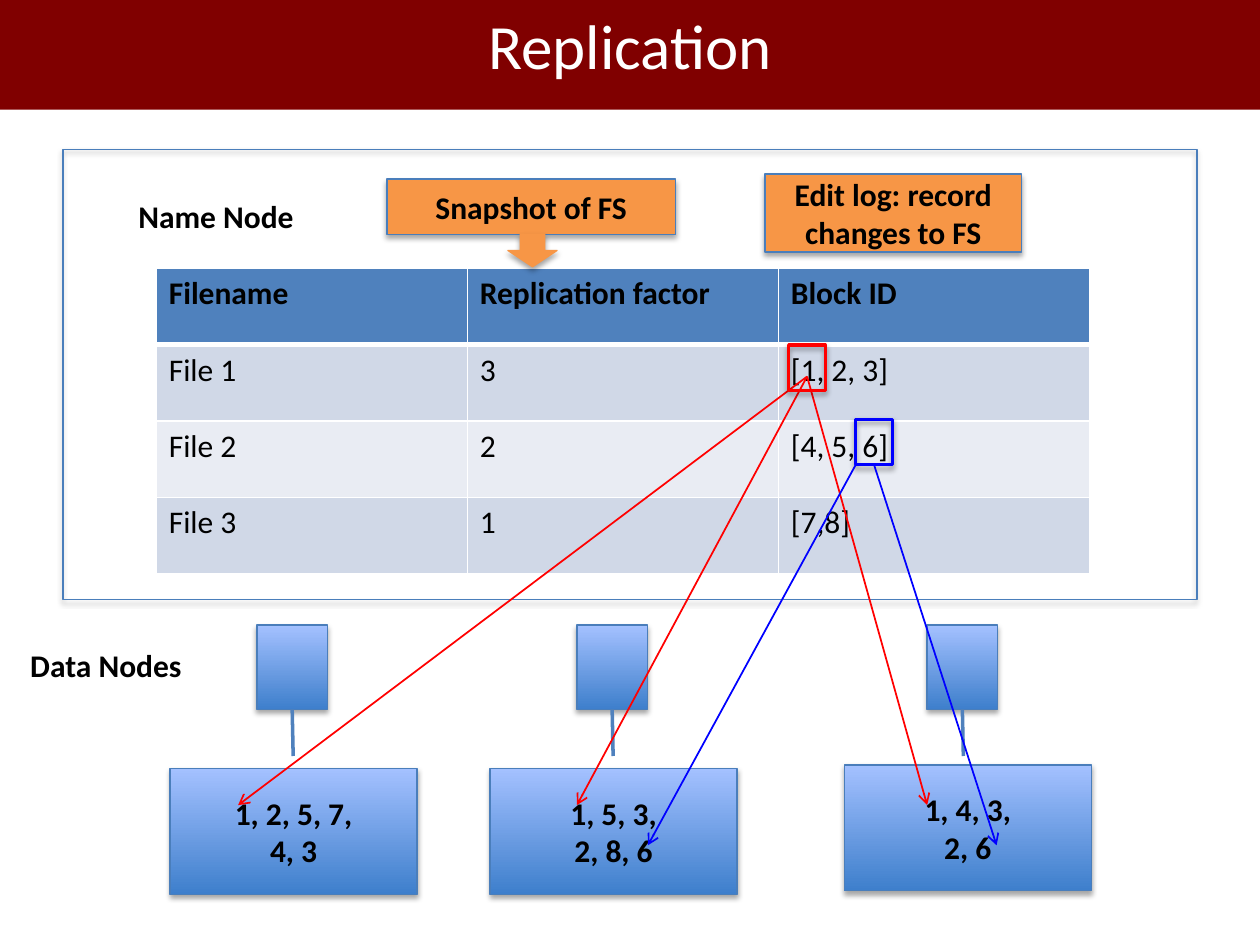
"""Build the slide on block replication between a name node and its data nodes."""
from pptx import Presentation
from pptx import util as u
from pptx.dml.color import RGBColor
from pptx.enum import shapes, text
from pptx.oxml import parse_xml
from pptx.oxml.ns import nsdecls, qn

BLACK, WHITE = RGBColor(0, 0, 0), RGBColor(255, 255, 255)
MAROON, ORANGE = RGBColor(0x80, 0, 0), RGBColor(0xF7, 0x96, 0x46)
RED, BLUE = RGBColor(255, 0, 0), RGBColor(0, 0, 255)
EDGE, ACCENT = RGBColor(0x4A, 0x7E, 0xBB), RGBColor(0x4F, 0x81, 0xBD)
DEEP, PALE = RGBColor(0x3E, 0x7F, 0xCC), RGBColor(0xA4, 0xC1, 0xFF)
BANDS = [RGBColor(0xE9, 0xEC, 0xF3), RGBColor(0xD0, 0xD8, 0xE7)]
RECT, DOWN = shapes.MSO_SHAPE.RECTANGLE, shapes.MSO_SHAPE.DOWN_ARROW
BOLD = {"name": "Calibri", "size": u.Pt(18), "bold": True}
PLAIN = {**BOLD, "bold": False}
HEADING = {**PLAIN, "size": u.Pt(36)}

FILES = [
    ("Filename", "Replication factor", "Block ID"),
    ("File 1", "3", "[1, 2, 3]"),
    ("File 2", "2", "[4, 5, 6]"),
    ("File 3", "1", "[7,8]"),
]
NODES = [
    (5.18, 3.43, 15.49, ["1, 2, 5, 7,", "4, 3"]),
    (11.63, 9.88, 15.49, ["1, 5, 3,", "2, 8, 6"]),
    (18.69, 17.02, 15.42, ["1, 4, 3,", "2, 6"]),
]
LABELS = [("Name Node", 2.54, 3.84), ("Data Nodes", 0.36, 12.9)]
SNAPSHOT = ("Snapshot of FS", (7.8, 3.61, 5.82, 1.12))
EDIT_LOG = ("Edit log: record changes to FS", (15.42, 3.51, 5.18, 1.57))
BLOCK_1, BLOCK_6 = (15.9, 6.96, 0.74, 0.91), (17.25, 8.46, 0.74, 0.91)
BLOCK_1_ENDS = [(4.8, 16.23), (11.63, 16.23), (18.69, 16.23)]
BLOCK_6_ENDS = [(13.06, 17.04), (20.09, 17.04)]

prs = Presentation()
prs.slide_width, prs.slide_height = u.Cm(25.4), u.Cm(19.05)
s = prs.slides.add_slide(prs.slide_layouts[6])


def cm(values):
    return [u.Cm(v) for v in values]


def write(tf, lines, style=BOLD, color=BLACK, align=None):
    for i, line in enumerate(lines):
        p = tf.add_paragraph() if i else tf.paragraphs[0]
        p.alignment = align
        r = p.add_run()
        r.text = line
        for name, value in style.items():
            setattr(r.font, name, value)
        r.font.color.rgb = color


def add_shadow(sp):
    sp._element.spPr.find(qn("a:effectLst")).append(parse_xml(
        f'<a:outerShdw {nsdecls("a")} blurRad="39370" dist="22860" dir="5400000" '
        'rotWithShape="0"><a:srgbClr val="000000"><a:alpha val="35000"/>'
        '</a:srgbClr></a:outerShdw>'))


def shape(box, fill=None, line=EDGE, width=0.75, kind=RECT, lines=(),
          style=BOLD, color=BLACK):
    sp = s.shapes.add_shape(kind, *cm(box))
    sp.shadow.inherit = False
    if fill == "gradient":
        sp.fill.gradient()
        sp.fill.gradient_angle = 90
        for stop, shade in zip(sp.fill.gradient_stops, (DEEP, PALE)):
            stop.color.rgb = shade
    elif fill is None:
        sp.fill.background()
    else:
        sp.fill.solid()
        sp.fill.fore_color.rgb = fill
    if line is None:
        sp.line.fill.background()
    else:
        sp.line.color.rgb, sp.line.width = line, u.Pt(width)
        add_shadow(sp)
    sp.text_frame.word_wrap = True
    sp.text_frame.vertical_anchor = text.MSO_ANCHOR.MIDDLE
    write(sp.text_frame, lines, style, color, text.PP_ALIGN.CENTER)
    return sp


def connect(start, end, color, width=1, arrow=True, source=None):
    c = s.shapes.add_connector(shapes.MSO_CONNECTOR.STRAIGHT, *cm(start + end))
    if source is not None:
        c.begin_connect(source, 2)
    c.line.color.rgb, c.line.width = color, u.Pt(width)
    spPr = c._element.spPr
    if arrow:
        spPr.find(qn("a:ln")).append(
            parse_xml(f'<a:tailEnd {nsdecls("a")} type="arrow"/>'))
    spPr.append(parse_xml(f'<a:effectLst {nsdecls("a")}/>'))


def set_borders(cell, row):
    tcPr = cell._tc.get_or_add_tcPr()
    for i, side in enumerate("LRTB"):
        heavy = (row, side) in ((0, "B"), (1, "T"))
        tcPr.insert(i, parse_xml(
            f'<a:ln{side} {nsdecls("a")} w="{u.Pt(3 if heavy else 0.96)}">'
            f'<a:solidFill><a:srgbClr val="{WHITE}"/></a:solidFill></a:ln{side}>'))


def add_file_table():
    rows, cols = len(FILES), len(FILES[0])
    col_w, row_h = 6.27, 1.54
    table = s.shapes.add_table(
        rows, cols, *cm((3.15, 5.41, cols * col_w, rows * row_h))).table
    for col in table.columns:
        col.width = u.Cm(col_w)
    for i, record in enumerate(FILES):
        table.rows[i].height = u.Cm(row_h)
        for j, value in enumerate(record):
            cell = table.cell(i, j)
            cell.fill.solid()
            cell.fill.fore_color.rgb = BANDS[i % 2] if i else ACCENT
            write(cell.text_frame, [value], PLAIN if i else BOLD)
            set_borders(cell, i)


shape((1.27, 3.02, 22.86, 9.07))
add_file_table()
for node_x, list_x, list_y, blocks in NODES:
    node = shape((node_x, 12.6, 1.42, 1.7), "gradient")
    connect((node_x + 0.71, 14.3), (node_x + 0.73, 15.24), ACCENT, 2, False, node)
    shape((list_x, list_y, 4.98, 2.54), "gradient", lines=blocks)
for label, x, y in LABELS:
    tf = s.shapes.add_textbox(*cm((x, y, 5.26, 1.02))).text_frame
    tf.word_wrap = True
    write(tf, [label])
shape(SNAPSHOT[1], ORANGE, lines=[SNAPSHOT[0]])

x, y, w, h = BLOCK_1
for end in BLOCK_1_ENDS:
    connect((x + w / 2, 7.59), end, RED)
shape(BLOCK_1, line=RED, width=2)

x, y, w, h = BLOCK_6
marker = shape(BLOCK_6, line=BLUE, width=2)
connect((x, y + h), BLOCK_6_ENDS[0], BLUE)
connect((x + w / 2, y + h), BLOCK_6_ENDS[1], BLUE, source=marker)

shape(EDIT_LOG[1], ORANGE, lines=[EDIT_LOG[0]])
shape((10.24, 4.72, 0.99, 0.66), ORANGE, ORANGE, kind=DOWN)
shape((0, -0.41, 25.4, 2.62), MAROON, None, lines=["Replication"],
      style=HEADING, color=WHITE)
prs.save("out.pptx")
